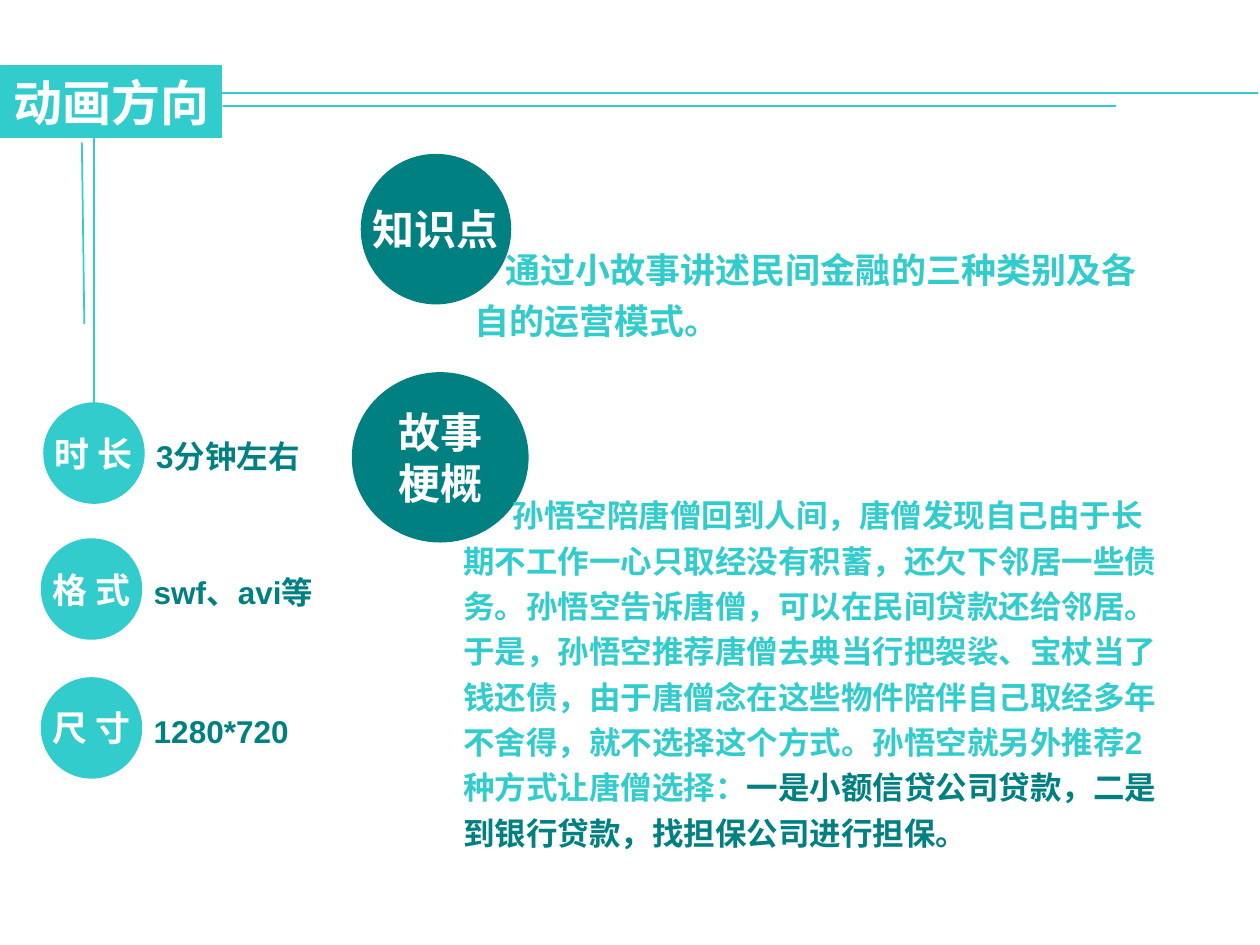
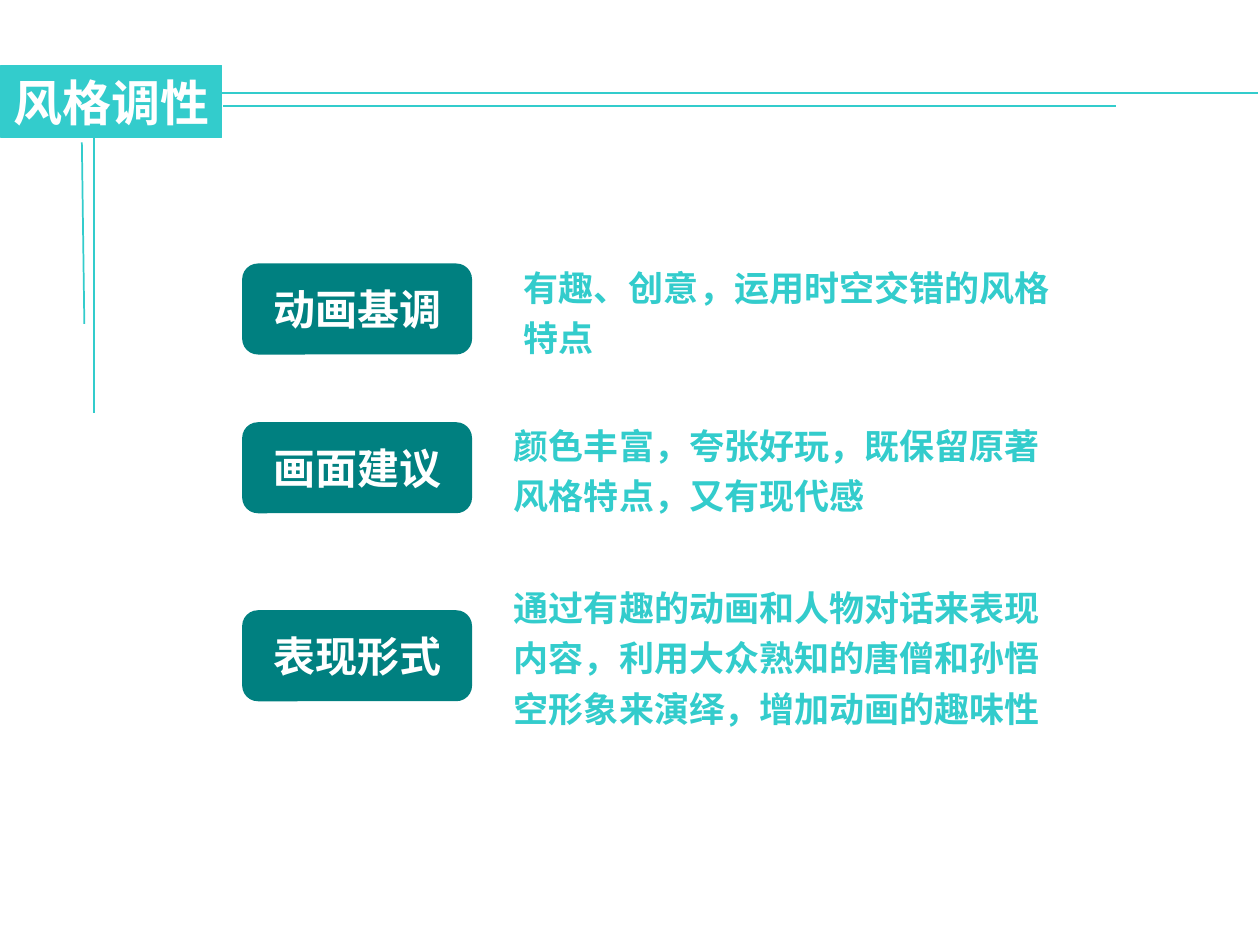
from lxml.etree import SubElement
from pptx import Presentation
from pptx.dml.color import RGBColor
from pptx.enum.lang import MSO_LANGUAGE_ID as Language
from pptx.enum.shapes import MSO_CONNECTOR as Connector, MSO_SHAPE as Shape
from pptx.enum.text import MSO_ANCHOR as Anchor, MSO_AUTO_SIZE as AutoSize, PP_ALIGN as Align
from pptx.oxml.ns import qn
from pptx.util import Cm, Pt

COLORS = {"light": "33CCCC", "dark": "008080", "white": "FFFFFF"}
FONT = "Arial"
TITLE_BOX = (0.02, 1.32, 4.45, 1.45)
FRAME_LINES = [
    (1.9, 2.72, 1.9, 8.33),
    (1.65, 2.87, 1.7, 6.53),
    (4.5, 2.13, 22.5, 2.13),
    (4.45, 1.88, 25.35, 1.88),
]

DIRECTION_TITLE = "动画方向"
TOPICS = [
    {
        "label": ["知识点"],
        "circle": (7.29, 3.12, 3, 3),
        "box": (9.32, 4.72, 14, 2.29),
        "size": 20,
        "indent": 0.62,
        "text": [("通过小故事讲述民间金融的三种类别及各自的运营模式。", "light")],
    },
    {
        "label": ["故事", "梗概"],
        "circle": (7.11, 7.52, 3.53, 3.4),
        "box": (9.09, 9.73, 14.6, 7.57),
        "size": 18,
        "indent": 1,
        "text": [
            ("孙悟空陪唐僧回到人间，唐僧发现自己由于长期不工作一心只取经没有积蓄，"
             "还欠下邻居一些债务。孙悟空告诉唐僧，可以在民间贷款还给邻居。"
             "于是，孙悟空推荐唐僧去典当行把袈裟、宝杖当了钱还债，"
             "由于唐僧念在这些物件陪伴自己取经多年不舍得，就不选择这个方式。"
             "孙悟空就另外推荐2种方式让唐僧选择：", "light"),
            ("一是小额信贷公司贷款，二是到银行贷款，找担保公司进行担保。", "dark"),
        ],
    },
]
FACTS = [
    ("时 长", "3分钟左右", 0.89, 8.13, 1.17),
    ("格 式", "swf、avi等", 0.84, 10.87, 2.08),
    ("尺 寸", "1280*720", 0.84, 13.67, 1.17),
]
FACT_DIAMETER = 2.01
FACT_TEXT_DROP = 0.4
FACT_TEXT_WIDTH = 3.8

STYLE_TITLE = "风格调性"
STYLES = [
    ("动画基调", 5.33, "有趣、创意，运用时空交错的风格特点", (10.31, 5.08, 11.2, 2.29)),
    ("画面建议", 8.53, "颜色丰富，夸张好玩，既保留原著风格特点，又有现代感",
     (10.11, 8.26, 11.2, 2.29)),
    ("表现形式", 12.32,
     "通过有趣的动画和人物对话来表现内容，利用大众熟知的唐僧和孙悟空形象来演绎，增加动画的趣味性",
     (10.11, 11.53, 11.4, 3.3)),
]
BUTTON_LEFT, BUTTON_WIDTH, BUTTON_HEIGHT = 4.9, 4.6, 1.8


def rgb(name):
    return RGBColor.from_string(COLORS[name])


def lengths(values):
    return [Cm(value) for value in values]


def paint(shape, color, line_width):
    shape.fill.solid()
    shape.fill.fore_color.rgb = rgb(color)
    shape.line.color.rgb = rgb(color)
    shape.line.width = Pt(line_width)


def set_font(paragraph, size, color=None):
    font = paragraph.font
    font.name = FONT
    font.size = Pt(size)
    font.bold = True
    font.language_id = Language.SIMPLIFIED_CHINESE
    if color:
        font.color.rgb = rgb(color)


def add_badge(slide, kind, box, color, lines, size):
    shape = slide.shapes.add_shape(kind, *lengths(box))
    shape.shadow.inherit = False
    paint(shape, color, 1)
    frame = shape.text_frame
    frame.word_wrap = False
    frame.vertical_anchor = Anchor.MIDDLE
    frame.text = "\n".join(lines)
    for paragraph in frame.paragraphs:
        paragraph.alignment = Align.CENTER
        set_font(paragraph, size, "white")


def add_body(slide, box, parts, size, indent=0):
    frame = slide.shapes.add_textbox(*lengths(box)).text_frame
    frame.word_wrap = True
    paragraph = frame.paragraphs[0]
    paragraph.line_spacing = 1.2
    set_font(paragraph, size, parts[0][1] if len(parts) == 1 else None)
    if indent:
        paragraph._p.get_or_add_pPr().set("indent", str(int(Cm(indent))))
    for text, color in parts:
        run = paragraph.add_run()
        run.text = text
        if len(parts) > 1:
            run.font.color.rgb = rgb(color)


def add_framed_slide(presentation, heading):
    slide = presentation.slides.add_slide(presentation.slide_layouts[5])
    title = slide.shapes.title
    title.left, title.top, title.width, title.height = lengths(TITLE_BOX)
    paint(title, "light", 0.75)
    frame = title.text_frame
    frame.text = heading
    frame.word_wrap = True
    frame.auto_size = AutoSize.NONE
    frame.vertical_anchor = Anchor.TOP
    frame.margin_top = Cm(0.15)
    frame.margin_right = Cm(0)
    frame.paragraphs[0].alignment = Align.LEFT
    set_font(frame.paragraphs[0], 28, "white")
    for ends in FRAME_LINES:
        line = slide.shapes.add_connector(Connector.STRAIGHT, *lengths(ends))
        line.line.color.rgb = rgb("light")
        line.line.width = Pt(1)
        SubElement(line._element.spPr, qn("a:effectLst"))
    return slide


def build_direction(presentation):
    slide = add_framed_slide(presentation, DIRECTION_TITLE)
    for topic in TOPICS:
        add_badge(slide, Shape.OVAL, topic["circle"], "dark", topic["label"], 24)
        add_body(slide, topic["box"], topic["text"], topic["size"], topic["indent"])
    for label, value, left, top, height in FACTS:
        circle = (left, top, FACT_DIAMETER, FACT_DIAMETER)
        add_badge(slide, Shape.OVAL, circle, "light", [label], 20)
        box = (left + FACT_DIAMETER, top + FACT_TEXT_DROP, FACT_TEXT_WIDTH, height)
        add_body(slide, box, [(value, "dark")], 18)


def build_style(presentation):
    slide = add_framed_slide(presentation, STYLE_TITLE)
    for label, top, text, box in STYLES:
        button = (BUTTON_LEFT, top, BUTTON_WIDTH, BUTTON_HEIGHT)
        add_badge(slide, Shape.ROUNDED_RECTANGLE, button, "dark", [label], 24)
        add_body(slide, box, [(text, "light")], 20)


def main():
    presentation = Presentation()
    presentation.slide_width = Cm(25.4)
    presentation.slide_height = Cm(19.05)
    build_direction(presentation)
    build_style(presentation)
    presentation.save("out.pptx")


if __name__ == "__main__":
    main()
